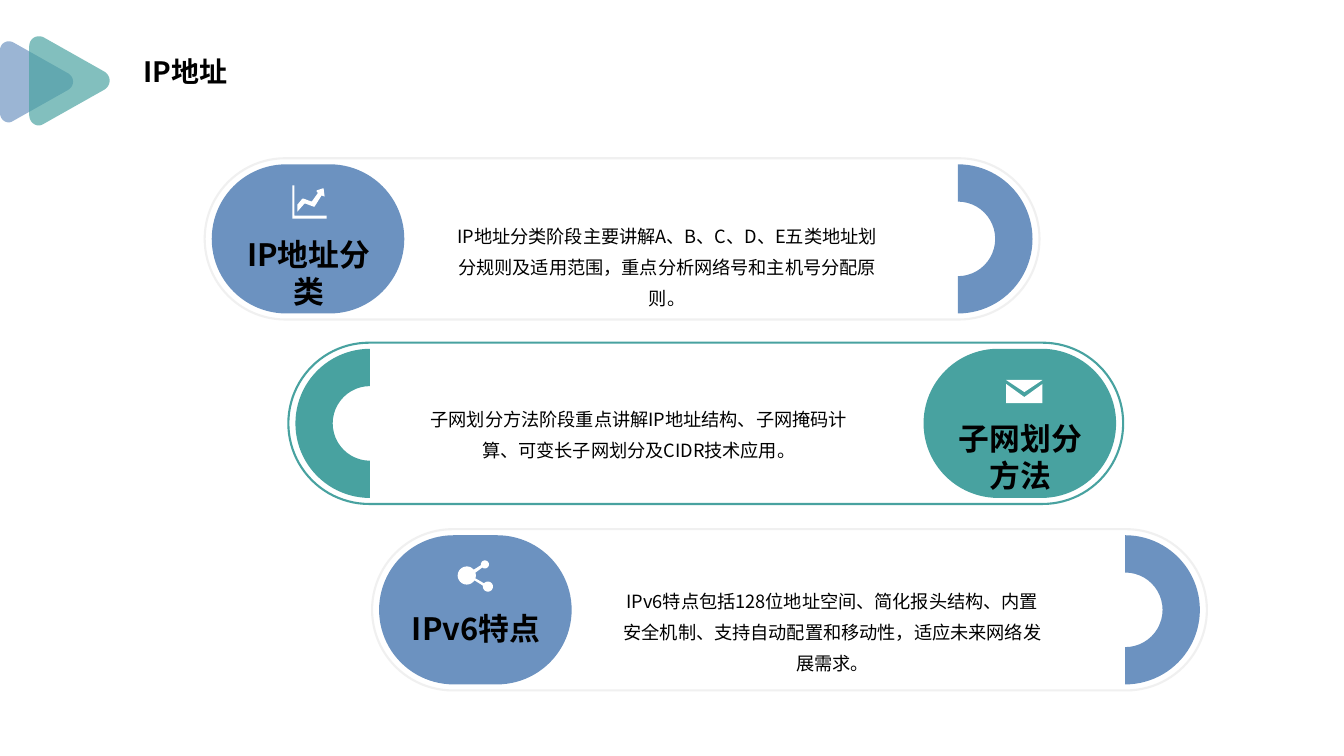
import math
from dataclasses import dataclass

from lxml import etree
from pptx import Presentation
from pptx.dml.color import RGBColor
from pptx.enum import shapes, text
from pptx.oxml import ns
from pptx.util import Inches, Pt

FONT = "Noto Sans CJK SC"
BLUE, TEAL, GREY, WHITE, BLACK = "6C92C0", "48A2A0", "F0F0F0", "FFFFFF", "000000"
CAPSULE_W, CAPSULE_H = 8.28, 1.6
BADGE_W, BADGE_H = 1.91, 1.48
INSET = 0.07

Point = tuple[float, float]
Contour = list[Point]


@dataclass
class Topic:
    heading: str
    detail: str
    left: float
    middle: float
    colour: str
    outline: str
    heading_top: float
    detail_left: float
    detail_top: float
    icon: list[Contour]
    mirrored: bool = False


def rgb(colour: str) -> RGBColor:
    return RGBColor.from_string(colour)


def paint(shape, fill: str | None, line: str | None = None) -> None:
    shape.shadow.inherit = False
    if fill:
        shape.fill.solid()
        shape.fill.fore_color.rgb = rgb(fill)
    else:
        shape.fill.background()
    if line:
        shape.line.color.rgb = rgb(line)
        shape.line.width = Pt(1.5)
    else:
        shape.line.fill.background()


def arc(x: float, y: float, radius: float, start: int, end: int) -> Contour:
    """Points of an arc, clockwise, with angles in degrees."""
    angles = [math.radians(start + (end - start) * i / 24) for i in range(25)]
    return [(x + radius * math.cos(a), y + radius * math.sin(a)) for a in angles]


def bezier(a: Point, b: Point, c: Point, d: Point) -> Contour:
    def at(t: float, axis: int) -> float:
        s = 1 - t
        return (s**3 * a[axis] + 3 * s * s * t * b[axis]
                + 3 * s * t * t * c[axis] + t**3 * d[axis])
    return [(at(i / 12, 0), at(i / 12, 1)) for i in range(13)]


def draw_outline(parent, contours: list[Contour], colour: str):
    builder = None
    for contour in contours:
        start, *rest = [(Inches(x), Inches(y)) for x, y in contour]
        if builder is None:
            builder = parent.build_freeform(*start)
        else:
            builder.move_to(*start)
        builder.add_line_segments(rest)
    shape = builder.convert_to_shape()
    paint(shape, colour)
    return shape


def draw_triangle(parent, left: float, middle: float, scale: float, colour: str) -> None:
    """Rounded, see-through triangle pointing right."""
    corners = [
        ((0.68, -0.08), (0.74, -0.04), (0.74, 0.04), (0.68, 0.08)),
        ((0.13, 0.39), (0.07, 0.43), (0, 0.38), (0, 0.31)),
        ((0, -0.31), (0, -0.38), (0.07, -0.42), (0.13, -0.39)),
    ]
    contour = [(left + scale * x, middle + scale * y)
               for corner in corners for x, y in bezier(*corner)]
    shape = draw_outline(parent, [contour], colour)
    fill_colour = shape.fill._xPr.find(ns.qn("a:solidFill"))[0]
    etree.SubElement(fill_colour, ns.qn("a:alpha"), val="68000")


def format_text(frame, size: int, bold: bool, align) -> None:
    frame.vertical_anchor = text.MSO_ANCHOR.TOP
    frame.auto_size = text.MSO_AUTO_SIZE.SHAPE_TO_FIT_TEXT
    paragraph = frame.paragraphs[0]
    paragraph.alignment = align
    for run in paragraph.runs:
        run.font.size = Pt(size)
        run.font.bold = bold
        run.font.color.rgb = rgb(BLACK)
        run.font.name = FONT
        etree.SubElement(run.font._element, ns.qn("a:ea"), typeface=FONT)


def add_text(slide, words: str, left: float, top: float, width: float,
             height: float, size: int, bold: bool = False):
    box = slide.shapes.add_textbox(Inches(left), Inches(top), Inches(width), Inches(height))
    frame = box.text_frame
    frame.margin_left = frame.margin_right = frame.margin_top = frame.margin_bottom = 0
    frame.word_wrap = True
    frame.text = words
    format_text(frame, size, bold, text.PP_ALIGN.CENTER)
    return frame.paragraphs[0]


def add_preset(slide, kind, left: float, middle: float, width: float, height: float):
    return slide.shapes.add_shape(kind, Inches(left), Inches(middle - height / 2),
                                  Inches(width), Inches(height))


def draw_topic(slide, topic: Topic) -> None:
    near = topic.left + INSET
    far = topic.left + CAPSULE_W - INSET
    badge_left = far - BADGE_W if topic.mirrored else near
    arc_left = near if topic.mirrored else far - BADGE_H

    rounded = shapes.MSO_SHAPE.ROUNDED_RECTANGLE
    capsule = add_preset(slide, rounded, topic.left, topic.middle, CAPSULE_W, CAPSULE_H)
    badge = add_preset(slide, rounded, badge_left, topic.middle, BADGE_W, BADGE_H)
    end_arc = add_preset(slide, shapes.MSO_SHAPE.BLOCK_ARC, arc_left, topic.middle,
                         BADGE_H, BADGE_H)
    capsule.adjustments[0] = badge.adjustments[0] = 0.5
    end_arc.rotation = 270 if topic.mirrored else 90
    paint(capsule, None, topic.outline)
    paint(badge, topic.colour)
    paint(end_arc, topic.colour)

    draw_outline(slide.shapes, topic.icon, WHITE)
    detail = add_text(slide, topic.detail, topic.detail_left, topic.detail_top, 4.25, 0.31, 13)
    detail.line_spacing = Pt(22)
    add_text(slide, topic.heading, badge_left + 0.29, topic.heading_top, 1.34, 0.74, 22, True)


CHART_ICON = [
    [(3.2, 1.87), (3.21, 1.87), (3.22, 1.95), (3.19, 1.94), (3.12, 2.05), (3.11, 2.05),
     (3.03, 2.02), (3.02, 2.02), (2.95, 2.1), (2.95, 2.03), (3, 1.97), (3.01, 1.97),
     (3.09, 2), (3.1, 1.99), (3.15, 1.92), (3.15, 1.91), (3.14, 1.9), (3.14, 1.89)],
    [(2.9, 1.84), (2.92, 1.84), (2.92, 2.14), (3.24, 2.14), (3.24, 2.17), (2.9, 2.17)],
]
MAIL_ICON = [
    [(9.98, 3.81), (10.16, 3.94), (10.34, 3.81), (10.34, 4), (9.98, 4)],
    [(9.98, 3.77), (10.34, 3.77), (10.16, 3.89)],
]
SHARE_ICON = [
    arc(4.63, 5.71, 0.09, 32, 320) + arc(4.81, 5.6, 0.04, 170, 490)
    + arc(4.63, 5.71, 0.09, -18, 18) + arc(4.84, 5.82, 0.05, 220, 550),
]
TOPICS = [
    Topic("IP地址分类",
          "IP地址分类阶段主要讲解A、B、C、D、E五类地址划分规则及适用范围，重点分析网络号和主机号分配原则。",
          2.03, 2.37, BLUE, GREY, 2.34, 4.49, 2.15, CHART_ICON),
    Topic("子网划分方法",
          "子网划分方法阶段重点讲解IP地址结构、子网掩码计算、可变长子网划分及CIDR技术应用。",
          2.86, 4.2, TEAL, TEAL, 4.16, 4.21, 3.96, MAIL_ICON, mirrored=True),
    Topic("IPv6特点",
          "IPv6特点包括128位地址空间、简化报头结构、内置安全机制、支持自动配置和移动性，适应未来网络发展需求。",
          3.69, 6.05, BLUE, GREY, 6.05, 6.13, 5.77, SHARE_ICON),
]


def main() -> None:
    deck = Presentation()
    deck.slide_width, deck.slide_height = Inches(13.33), Inches(7.5)
    slide = deck.slides.add_slide(deck.slide_layouts[5])

    title = slide.shapes.title
    title.left, title.top = Inches(1.32), Inches(0.49)
    title.width, title.height = Inches(1.7), Inches(0.44)
    title.text_frame.text = "IP地址"
    title.text_frame.word_wrap = False
    format_text(title.text_frame, 20, True, text.PP_ALIGN.LEFT)

    emblem = slide.shapes.add_group_shape()
    draw_triangle(emblem.shapes, 0, 0.81, 1, BLUE)
    draw_triangle(emblem.shapes, 0.29, 0.8, 1.1, TEAL)

    for topic in TOPICS:
        draw_topic(slide, topic)
    deck.save("out.pptx")


if __name__ == "__main__":
    main()
